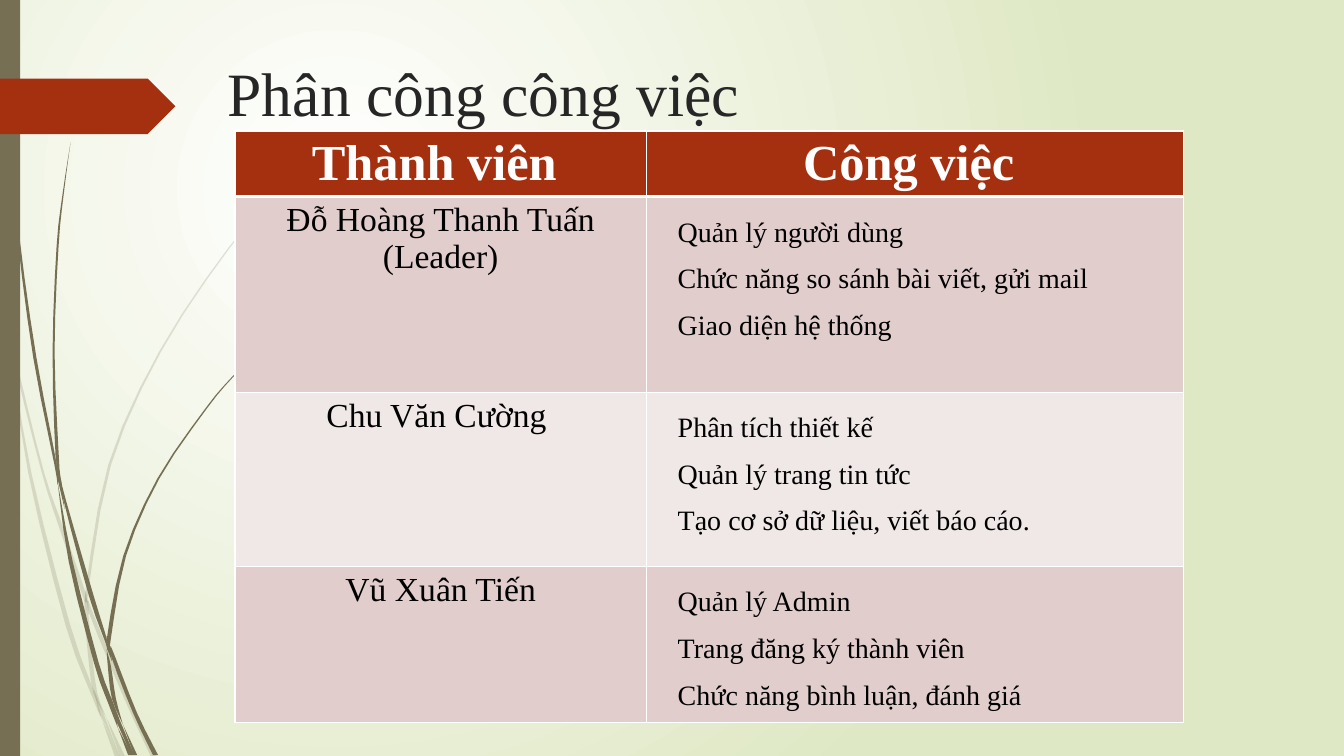
"""Build the task assignment slide: title, member table and grass-blade decoration."""
from dataclasses import dataclass

from lxml import etree
from pptx import Presentation
from pptx.dml.color import RGBColor
from pptx.enum.shapes import MSO_SHAPE
from pptx.enum.text import MSO_ANCHOR, PP_ALIGN
from pptx.oxml.ns import qn
from pptx.util import Cm, Pt

RECTANGLE, ARROW = MSO_SHAPE.RECTANGLE, MSO_SHAPE.PENTAGON
LEFT, CENTER = PP_ALIGN.LEFT, PP_ALIGN.CENTER
BOTTOM = MSO_ANCHOR.BOTTOM

TITLE = "Phân công công việc"
HEADINGS = ("Thành viên ", "Công việc ")
MEMBERS = (
    ("Đỗ Hoàng Thanh Tuấn (Leader)",
     ("Quản lý người dùng", "Chức năng so sánh bài viết, gửi mail", "Giao diện hệ thống")),
    ("Chu Văn Cường ",
     ("Phân tích thiết kế", "Quản lý trang tin tức", "Tạo cơ sở dữ liệu, viết báo cáo.")),
    ("Vũ Xuân Tiến",
     ("Quản lý Admin", "Trang đăng ký thành viên", "Chức năng bình luận, đánh giá")),
)
COLUMN_WIDTHS = (10.37, 13.54)
ROW_HEIGHTS = (1.37, 4.93, 4.39, 3.73)

PALE_BLADES = (
    ((0, 7.38, 0.06), (0.16, 8.1, 0.06), (0.28, 8.89, 0)),
    ((0.36, 8.76, 0), (0.48, 9.5, 0.06), (1.08, 11.9, 0.06), (1.52, 13.23, 0.1),
     (2.11, 14.95, 0.1), (2.14, 15.21, 0)),
    ((2.24, 15.14, 0), (2.29, 15.44, 0.1), (3.18, 17.6, 0.1), (3.87, 19.07, 0.13)),
    ((2.67, 18.06, 0), (3.09, 19.07, 0.13)),
    ((0.28, 8.89, 0), (0.75, 11.91, 0.08), (1.71, 15.75, 0.12), (2.35, 17.5, 0.1),
     (2.57, 18.14, 0)),
    ((2.13, 15.21, 0), (2.18, 15.5, 0.1), (2.26, 16.41, 0.1), (2.4, 17.45, 0.1),
     (2.67, 18.06, 0)),
    ((7.92, 3.89, 0), (7.35, 4.45, 0.03), (5.8, 6.21, 0.04), (4.04, 8.85, 0.05),
     (2.76, 11.72, 0.07), (2.2, 14.83, 0.07), (2.23, 15.14, 0)),
    ((2.57, 18.14, 0), (2.96, 19.07, 0.13)),
    ((2.15, 14.88, 0), (2.18, 15.2, 0.1), (2.24, 15.5, 0)),
    ((2.36, 17.35, 0), (2.53, 17.9, 0.1), (3.02, 19.07, 0)),
)
DARK_BLADES = (
    ((0.09, 0, 0.02), (0.19, 2.78, 0.03), (0.46, 5.92, 0.05), (0.88, 9.02, 0.08),
     (1.4, 11.7, 0.06), (1.45, 12.22, 0)),
    ((1.52, 11.99, 0), (1.63, 12.6, 0.06), (2.3, 15.01, 0.12), (2.69, 16.2, 0.06),
     (2.69, 16.38, 0)),
    ((2.79, 16.28, 0), (2.87, 16.6, 0.1), (3.4, 17.96, 0.1), (3.92, 19.03, 0.13)),
    ((1.45, 12.12, 0), (1.78, 14.14, 0.1), (2.43, 16.71, 0.12), (2.8, 17.75, 0.12),
     (2.97, 18.34, 0)),
    ((1.78, 3.58, 0), (1.59, 4.9, 0.03), (1.45, 6.22, 0.05), (1.35, 8.86, 0.05),
     (1.44, 11.46, 0.08), (1.52, 11.99, 0)),
    ((3.1, 18.26, 0), (3.42, 19.03, 0.08)),
    ((1.4, 11.4, 0), (1.5, 12.1, 0.08), (1.63, 12.83, 0)),
    ((6.62, 8.74, 0), (5.87, 9.49, 0.03), (5.19, 10.3, 0.04), (3.99, 12.06, 0.05),
     (3.14, 14.01, 0.07), (2.75, 16.05, 0.1), (2.79, 16.28, 0)),
    ((2.97, 18.34, 0), (3.28, 19.03, 0.1)),
    ((2.69, 16.38, 0), (2.76, 16.8, 0.08), (2.87, 17.6, 0.1), (3.1, 18.26, 0)),
    ((2.69, 16.03, 0), (2.75, 16.35, 0.1), (2.82, 16.66, 0)),
    ((2.79, 17.55, 0), (2.97, 18.15, 0.1), (3.35, 19.03, 0.08)),
)


@dataclass(frozen=True)
class Theme:
    font: str = "Times New Roman"
    white: str = "FFFFFF"
    black: str = "000000"
    ink: str = "262626"
    olive: str = "766F54"
    rust: str = "A53010"
    backdrop: str = "DFE8C4"
    bands: tuple = ("E1CDCC", "F0E8E7")
    title_size: int = 44
    heading_size: int = 36
    member_size: int = 24
    task_size: int = 20


THEME = Theme()


def paint_backdrop(page):
    fill = page.background.fill
    fill.gradient()
    for stop, color, position in zip(fill.gradient_stops, (THEME.white, THEME.backdrop), (0, 1)):
        stop.color.rgb = RGBColor.from_string(color)
        stop.position = position
    linear = next(page.background._cSld.iter(qn("a:lin")))
    radial = etree.Element(qn("a:path"), {"path": "circle"})
    etree.SubElement(radial, qn("a:fillToRect"), l="50000", t="50000", r="100000", b="100000")
    linear.getparent().replace(linear, radial)


def paint(shape, color, opacity=100):
    shape.shadow.inherit = False
    shape.fill.solid()
    shape.fill.fore_color.rgb = RGBColor.from_string(color)
    shape.line.fill.background()
    if opacity < 100:
        tint = next(shape._element.spPr.iter(qn("a:srgbClr")))
        etree.SubElement(tint, qn("a:alpha"), val=str(opacity * 1000))


def smooth(points, steps=3):
    padded = (points[0], *points, points[-1])
    curve = []
    for a, b, c, d in zip(padded, padded[1:], padded[2:], padded[3:]):
        for step in range(steps):
            t = step / steps
            curve.append([
                (2 * q + (r - p) * t + (2 * p - 5 * q + 4 * r - s) * t ** 2
                 + (3 * q - p - 3 * r + s) * t ** 3) / 2
                for p, q, r, s in zip(a, b, c, d)])
    return curve + [points[-1]]


def add_blade(page, points, opacity):
    curve = smooth(points) if len(points) > 3 else points
    outline = [(Cm(x - width / 2), Cm(y)) for x, y, width in curve]
    outline += [(Cm(x + width / 2), Cm(y)) for x, y, width in reversed(curve)]
    builder = page.shapes.build_freeform(*outline[0])
    builder.add_line_segments(outline[1:], close=True)
    paint(builder.convert_to_shape(), THEME.olive, opacity)


def write(frame, lines, size, color, bold=False, align=LEFT, spacing=None):
    frame.word_wrap = True
    for index, line in enumerate(lines):
        para = frame.add_paragraph() if index else frame.paragraphs[0]
        para.alignment, para.line_spacing = align, spacing
        span = para.add_run()
        span.text = line
        font = span.font
        font.name, font.size, font.bold = THEME.font, Pt(size), bold
        font.color.rgb = RGBColor.from_string(color)


def style_cell(cell, color, top, bottom):
    cell.margin_bottom = 0
    cell.fill.solid()
    cell.fill.fore_color.rgb = RGBColor.from_string(color)
    properties = cell._tc.get_or_add_tcPr()
    edges = (("L", 1), ("R", 1), ("T", top), ("B", bottom))
    for index, (side, width) in enumerate(edges):
        edge = etree.Element(qn(f"a:ln{side}"), w=str(Pt(width)))
        solid = etree.SubElement(edge, qn("a:solidFill"))
        etree.SubElement(solid, qn("a:srgbClr"), val=THEME.white)
        properties.insert(index, edge)


def add_member_table(page):
    table = page.shapes.add_table(
        len(ROW_HEIGHTS), len(COLUMN_WIDTHS), Cm(5.92), Cm(3.3),
        Cm(sum(COLUMN_WIDTHS)), Cm(sum(ROW_HEIGHTS))).table
    for column, width in zip(table.columns, COLUMN_WIDTHS):
        column.width = Cm(width)
    for row, height in zip(table.rows, ROW_HEIGHTS):
        row.height = Cm(height)
    for column, heading in enumerate(HEADINGS):
        cell = table.cell(0, column)
        write(cell.text_frame, [heading], THEME.heading_size, THEME.white, True, CENTER)
        style_cell(cell, THEME.rust, 1, 3)
    for row, (member, tasks) in enumerate(MEMBERS, 1):
        name_cell, task_cell = table.cell(row, 0), table.cell(row, 1)
        write(name_cell.text_frame, [member], THEME.member_size, THEME.black, align=CENTER)
        write(task_cell.text_frame, tasks, THEME.task_size, THEME.black, spacing=1.5)
        task_cell.margin_left = Cm(0.79)
        for cell in (name_cell, task_cell):
            style_cell(cell, THEME.bands[(row - 1) % 2], 3 if row == 1 else 1, 1)


def main():
    deck = Presentation()
    deck.slide_width, deck.slide_height = Cm(33.87), Cm(19.05)
    page = deck.slides.add_slide(deck.slide_layouts[6])
    paint_backdrop(page)
    for blades, opacity in ((PALE_BLADES, 20), (DARK_BLADES, 100)):
        for points in blades:
            add_blade(page, points, opacity)
    side_bar = page.shapes.add_shape(RECTANGLE, 0, 0, Cm(0.51), deck.slide_height)
    paint(side_bar, THEME.olive)
    arrow = page.shapes.add_shape(ARROW, 0, Cm(1.98), Cm(4.42), Cm(1.4))
    paint(arrow, THEME.rust)
    box = page.shapes.add_textbox(Cm(5.49), Cm(1.24), Cm(24.77), Cm(2.06))
    box.text_frame.vertical_anchor = BOTTOM
    box.text_frame.margin_bottom = Cm(0.05)
    write(box.text_frame, [TITLE], THEME.title_size, THEME.ink)
    add_member_table(page)
    deck.save("out.pptx")


if __name__ == "__main__":
    main()
